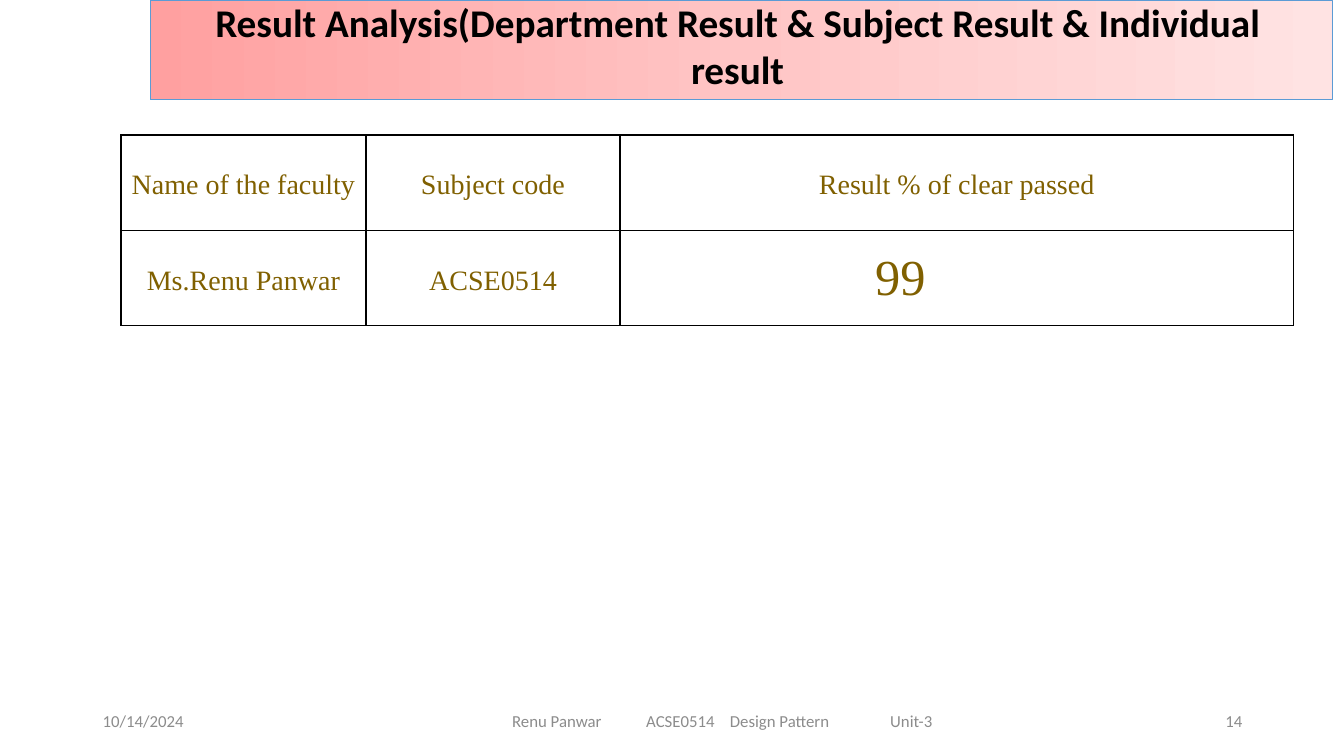
from copy import deepcopy
from dataclasses import dataclass

from lxml.etree import SubElement
from pptx import Presentation
from pptx.dml.color import RGBColor
from pptx.enum.shapes import MSO_SHAPE
from pptx.enum.text import MSO_ANCHOR, PP_ALIGN
from pptx.oxml.ns import qn
from pptx.util import Inches, Pt


@dataclass(frozen=True)
class Theme:
    body_font: str = "Calibri"
    table_font: str = "Times New Roman"
    black: str = "000000"
    white: str = "FFFFFF"
    gray: str = "8C8C8C"
    olive: str = "806000"
    blue: str = "5B9BD5"
    banner: tuple = ((0, "FFA0A0"), (0.5, "FFC5C5"), (1, "FFE3E3"))
    title_size: int = 28
    score_size: int = 36
    table_size: int = 20
    footer_size: int = 12


def color(value):
    return RGBColor.from_string(value)


class SlideBuilder:
    def __init__(self, page, theme):
        self.page = page
        self.theme = theme

    def add_line(self, frame, text, name, size, shade, align=PP_ALIGN.LEFT, bold=False, tabs=()):
        paragraph = frame.paragraphs[0]
        paragraph.alignment = align
        if tabs:
            tab_list = SubElement(paragraph._p.get_or_add_pPr(), qn("a:tabLst"))
            for stop in tabs:
                SubElement(tab_list, qn("a:tab"), pos=str(Inches(stop)), algn="l")
        span = paragraph.add_run()
        span.text = text
        font_format = {"name": name, "size": Pt(size), "bold": bold}
        for attribute, value in font_format.items():
            setattr(span.font, attribute, value)
        span.font.color.rgb = color(shade)
        return paragraph

    def banner(self, *place):
        box = self.page.shapes.add_shape(MSO_SHAPE.RECTANGLE, *map(Inches, place))
        box.shadow.inherit = False
        box.fill.gradient()
        box.fill.gradient_angle = 0
        stop_list = box._element.spPr.find(".//" + qn("a:gsLst"))
        stop_list.append(deepcopy(stop_list[-1]))
        for stop, (position, shade) in zip(box.fill.gradient_stops, self.theme.banner):
            stop.position = position
            stop.color.rgb = color(shade)
        box.line.color.rgb = color(self.theme.blue)
        box.line.width = Pt(0.5)

    def text(self, place, text, size, shade, anchor=MSO_ANCHOR.MIDDLE, inset=0.1, **style):
        box = self.page.shapes.add_textbox(*map(Inches, place))
        frame_format = {"word_wrap": True, "vertical_anchor": anchor, "margin_left": Inches(inset)}
        for attribute, value in frame_format.items():
            setattr(box.text_frame, attribute, value)
        self.add_line(box.text_frame, text, self.theme.body_font, size, shade, **style)

    def footer(self, place, text, **style):
        self.text(place, text, self.theme.footer_size, self.theme.gray, **style)

    def border(self, cell):
        properties = cell._tc.get_or_add_tcPr()
        for index, side in enumerate(("lnL", "lnR", "lnT", "lnB")):
            line = properties.makeelement(qn(f"a:{side}"), {"w": str(Pt(1))})
            fill = SubElement(line, qn("a:solidFill"))
            SubElement(fill, qn("a:srgbClr"), val=self.theme.black)
            properties.insert(index, line)

    def cell(self, cell, text, size, align, inset=0.07):
        cell_format = {
            "vertical_anchor": MSO_ANCHOR.MIDDLE,
            "margin_left": Inches(inset),
            "margin_right": Inches(0.07),
            "margin_top": 0,
            "margin_bottom": 0,
        }
        for attribute, value in cell_format.items():
            setattr(cell, attribute, value)
        cell.fill.solid()
        cell.fill.fore_color.rgb = color(self.theme.white)
        self.border(cell)
        return self.add_line(cell.text_frame, text, self.theme.table_font, size, self.theme.olive, align)

    def table(self, place, widths, heights, rows):
        """Centre every cell except the last, which holds the large indented score."""
        table = self.page.shapes.add_table(len(rows), len(widths), *map(Inches, place)).table
        table.first_row = table.horz_banding = False
        for column, width in zip(table.columns, widths):
            column.width = Inches(width)
        for row, height in zip(table.rows, heights):
            row.height = Inches(height)
        *labels, score = [text for row in rows for text in row]
        *label_cells, score_cell = table.iter_cells()
        for cell, label in zip(label_cells, labels):
            paragraph = self.cell(cell, label, self.theme.table_size, PP_ALIGN.CENTER)
            paragraph.line_spacing = 1.15
        self.cell(score_cell, score, self.theme.score_size, PP_ALIGN.LEFT, inset=2.53)


def main():
    deck = Presentation()
    deck.slide_width, deck.slide_height = Inches(13.33), Inches(7.5)
    theme = Theme()
    builder = SlideBuilder(deck.slides.add_slide(deck.slide_layouts[6]), theme)

    builder.banner(1.49, 0, 11.73, 0.99)
    builder.footer((0.92, 6.95, 3, 0.4), "10/14/2024")
    builder.footer((4.42, 6.95, 5.5, 0.4), "Renu Panwar\tACSE0514\tDesign Pattern\tUnit-3",
                   inset=0.66, tabs=(1.33, 2.16, 3.75))
    builder.footer((9.42, 6.95, 3, 0.4), "14", align=PP_ALIGN.RIGHT)
    builder.table(
        (1.2, 1.34, 11.63, 1.89), (2.43, 2.52, 6.68), (0.95, 0.94),
        (("Name of the faculty", "Subject code", "Result % of clear passed"),
         ("Ms.Renu Panwar", "ACSE0514", "99")),
    )
    builder.text(
        (1.61, -0.07, 11.41, 1.04),
        "Result Analysis(Department Result & Subject Result & Individual result",
        theme.title_size, theme.black, anchor=MSO_ANCHOR.TOP, align=PP_ALIGN.CENTER, bold=True,
    )
    deck.save("out.pptx")


if __name__ == "__main__":
    main()
